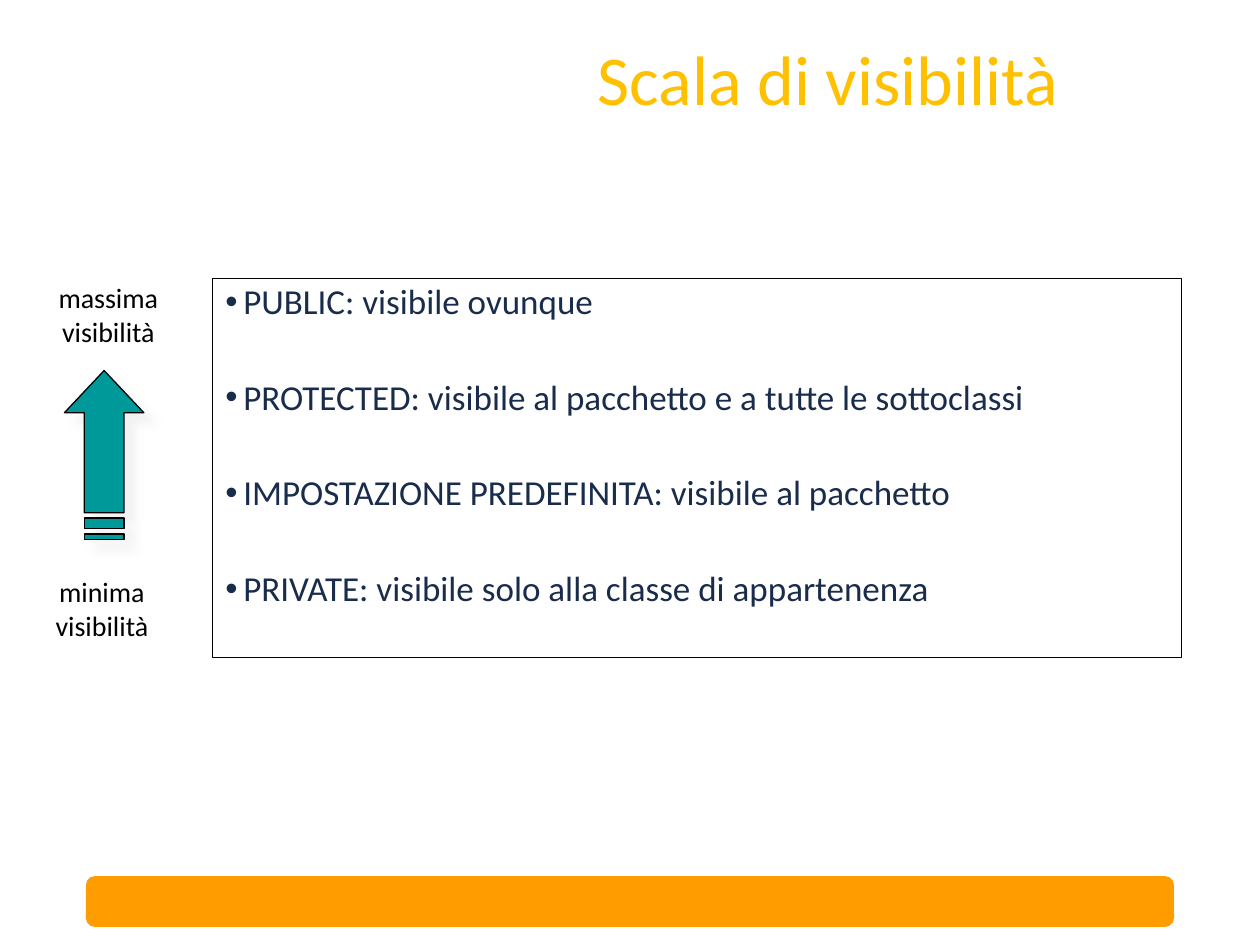
from lxml import etree
from pptx import Presentation
from pptx.dml.color import RGBColor
from pptx.enum import shapes, text
from pptx.oxml import ns, parse_xml
from pptx.util import Cm, Pt

# Content
TITLE = "Scala di visibilità"
LEVELS = [
    "PUBLIC: visibile ovunque",
    "PROTECTED: visibile al pacchetto e a tutte le sottoclassi",
    "IMPOSTAZIONE PREDEFINITA: visibile al pacchetto",
    "PRIVATE: visibile solo alla classe di appartenenza",
]
# Text lines, then left, top, width and height in cm
SCALE_ENDS = [
    (["massima", "visibilità"], (0.84, 5.54, 2.69, 1.63)),
    (["minima", "visibilità"], (0.81, 11.46, 2.49, 1.63)),
]
FONT = "Calibri"
ORANGE, GOLD, NAVY, TEAL, BLACK = "FF9C00", "FFC000", "1A2C4B", "009999", "000000"


def rgb(value):
    return RGBColor.from_string(value)


def place(shape, left, top, width, height):
    shape.left, shape.top = Cm(left), Cm(top)
    shape.width, shape.height = Cm(width), Cm(height)


def style(paragraph, size, color, align):
    paragraph.font.name = FONT
    paragraph.font.size = Pt(size)
    paragraph.font.color.rgb = rgb(color)
    paragraph.alignment = align


def paint(shape, fill, line, width):
    shape.fill.solid()
    shape.fill.fore_color.rgb = rgb(fill)
    shape.line.color.rgb = rgb(line)
    shape.line.width = Pt(width)
    shape.shadow.inherit = False


prs = Presentation()
prs.slide_width, prs.slide_height = Cm(25.4), Cm(19.05)
slide = prs.slides.add_slide(prs.slide_layouts[1])
title, levels = slide.placeholders
center, left_align = text.PP_ALIGN.CENTER, text.PP_ALIGN.LEFT

# Footer bar
bar = slide.shapes.add_shape(shapes.MSO_SHAPE.ROUNDED_RECTANGLE,
                             Cm(1.75), Cm(17.68), Cm(21.9), Cm(0.99))
paint(bar, ORANGE, ORANGE, 1)

# Title
place(title, 6.32, 0.08, 20.73, 3.18)
title.text_frame.text = TITLE
title.text_frame.vertical_anchor = text.MSO_ANCHOR.MIDDLE
heading = title.text_frame.paragraphs[0]
style(heading, 40, GOLD, center)
heading.line_spacing = 0.9

# Framed list of access levels
place(levels, 4.29, 5.61, 19.53, 7.65)
levels.line.color.rgb = rgb(BLACK)
levels.line.width = Pt(0.75)
levels.text_frame.auto_size = text.MSO_AUTO_SIZE.NONE
levels.text_frame.text = "\n".join(LEVELS)
for index, level in enumerate(levels.text_frame.paragraphs):
    style(level, 20, NAVY, left_align)
    level.line_spacing = 0.9
    level.space_before = Pt(33 if index else 5.5)
    props = level._p.get_or_add_pPr()
    props.set("marL", str(Cm(0.36)))
    props.set("indent", str(-Cm(0.36)))
    bullet_font = etree.Element(ns.qn("a:buFont"), typeface="Arial")
    bullet = etree.Element(ns.qn("a:buChar"), char="•")
    props.find(ns.qn("a:spcBef")).addnext(bullet_font)
    bullet_font.addnext(bullet)

# Striped arrow pointing up: shaft and stripes sit on a grid of 1/32 of its length
ARROW_LEFT, ARROW_TOP, ARROW_WIDTH, ARROW_LENGTH = 1.3, 7.47, 1.6, 3.4
step, quarter = ARROW_LENGTH / 32, ARROW_WIDTH / 4
shaft_left, shaft_right = quarter, 3 * quarter
neck, shaft_end = 8 * step, 27 * step
contours = [[(shaft_left, neck), (shaft_left, shaft_end), (shaft_right, shaft_end),
             (shaft_right, neck), (ARROW_WIDTH, neck), (ARROW_WIDTH / 2, 0), (0, neck)]]
for top, bottom in [(28, 30), (31, 32)]:
    contours.append([(shaft_left, top * step), (shaft_right, top * step),
                     (shaft_right, bottom * step), (shaft_left, bottom * step)])
builder = None
for contour in contours:
    points = [(Cm(ARROW_LEFT + x), Cm(ARROW_TOP + y)) for x, y in contour]
    if builder is None:
        builder = slide.shapes.build_freeform(*points[0])
    else:
        builder.move_to(*points[0])
    builder.add_line_segments(points[1:], close=True)
arrow = builder.convert_to_shape()
paint(arrow, TEAL, BLACK, 0.75)
arrow._element.spPr.find(ns.qn("a:effectLst")).append(parse_xml(
    f'<a:outerShdw {ns.nsdecls("a")} blurRad="{Pt(5)}" dist="{Pt(8.5)}" dir="2700000" '
    'algn="ctr" rotWithShape="0"><a:srgbClr val="E7E6E6"><a:alpha val="50000"/>'
    '</a:srgbClr></a:outerShdw>'))

# Captions at both ends of the scale
for lines, box in SCALE_ENDS:
    caption = slide.shapes.add_textbox(*map(Cm, box))
    caption.text_frame.word_wrap = False
    caption.text_frame.auto_size = text.MSO_AUTO_SIZE.SHAPE_TO_FIT_TEXT
    caption.text_frame.text = "\n".join(lines)
    for paragraph in caption.text_frame.paragraphs:
        style(paragraph, 16, BLACK, center)

prs.save("out.pptx")
